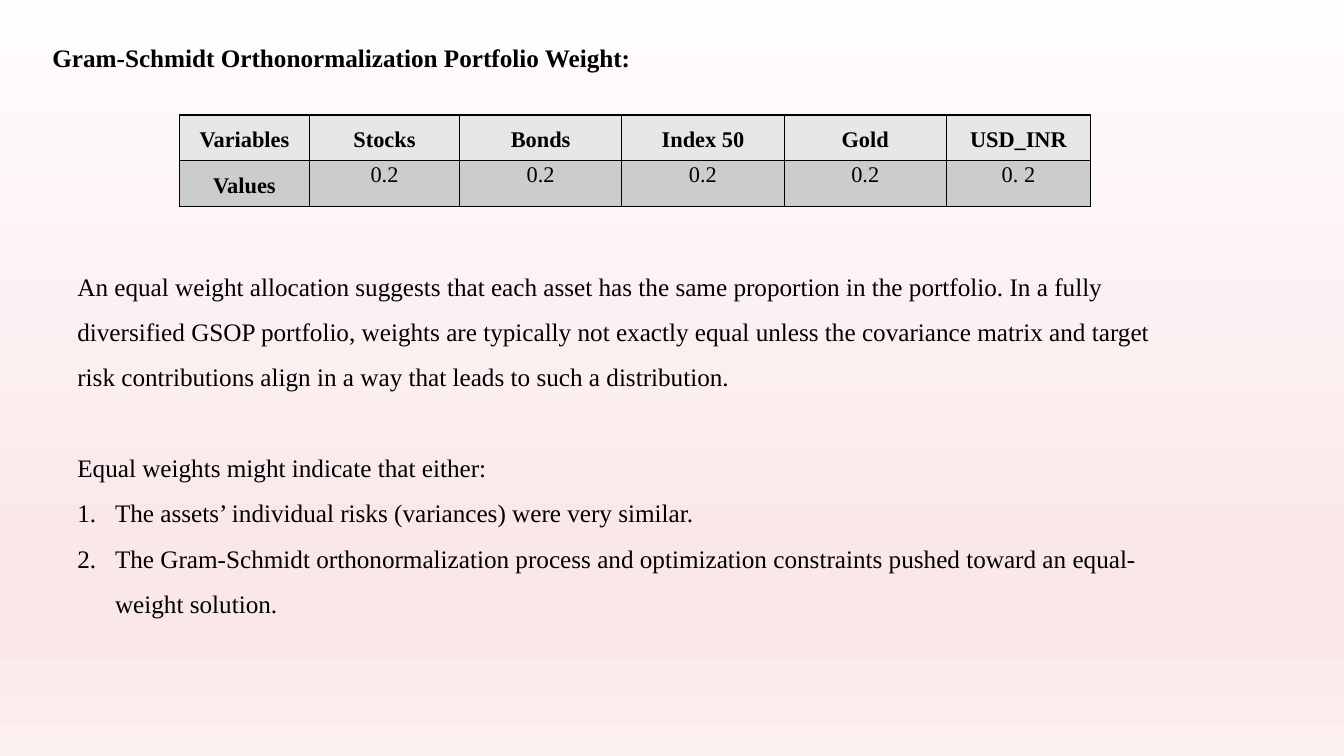
import lxml.etree
import pptx
import pptx.dml.color
import pptx.enum.text
import pptx.oxml.ns
import pptx.util

Cm = pptx.util.Cm
Pt = pptx.util.Pt
RGBColor = pptx.dml.color.RGBColor
qn = pptx.oxml.ns.qn

BLACK = RGBColor(0x00, 0x00, 0x00)
HEADER_GREY = RGBColor(0xE7, 0xE7, 0xE7)
VALUE_GREY = RGBColor(0xCC, 0xCC, 0xCC)
BACKGROUND_STOPS = [
    (0, RGBColor(0xFE, 0xFC, 0xFD)),
    (74, RGBColor(0xFA, 0xE8, 0xE9)),
    (83, RGBColor(0xFA, 0xE8, 0xE9)),
    (100, RGBColor(0xFC, 0xF0, 0xF0)),
]
FONT = "Times New Roman"

TITLE = "Gram-Schmidt Orthonormalization Portfolio\u00a0Weight:".replace("\u00a0", " ")
WEIGHTS = [
    ["Variables", "Stocks", "Bonds", "Index 50", "Gold", "USD_INR"],
    ["Values", "0.2", "0.2", "0.2", "0.2", "0. 2"],
]
COLUMN_WIDTHS = [3.28, 3.78, 4.09, 4.09, 4.09, 3.63]
ROW_HEIGHT = 1.15
EXPLANATION = (
    "An equal weight allocation suggests that each asset has the same proportion "
    "in the portfolio. In a fully diversified GSOP portfolio, weights are typically "
    "not exactly equal unless the covariance matrix and target risk contributions "
    "align in a way that leads to such a distribution."
)
REASONS_LEAD = "Equal weights might indicate that either:"
REASONS = [
    "The assets’ individual risks (variances) were very similar.",
    "The Gram-Schmidt orthonormalization process and optimization constraints "
    "pushed toward an equal-weight solution.",
]


def add_element(parent, tag, **attributes):
    return lxml.etree.SubElement(parent, qn(tag), attributes)


def write(para, text, size=18, bold=False, spacing=1.5, after=0):
    para.text = text
    para.line_spacing = spacing
    para.space_after = Pt(after)
    para.font.name = FONT
    para.font.size = Pt(size)
    para.font.bold = bold
    para.font.color.rgb = BLACK


def number(para):
    properties = para._p.get_or_add_pPr()
    properties.set("marL", str(Cm(0.95)))
    properties.set("indent", str(-Cm(0.95)))
    add_element(properties, "a:buFont", typeface="+mj-lt")
    add_element(properties, "a:buAutoNum", type="arabicPeriod")
    defaults = properties.find(qn("a:defRPr"))
    properties.append(defaults)


def paint_background(page):
    fill = page.background.fill
    fill.gradient()
    fill.gradient_angle = 270
    stops = page.element.xpath(".//p:bg//a:gsLst")[0]
    for stop in list(stops):
        stops.remove(stop)
    for percent, color in BACKGROUND_STOPS:
        stop = add_element(stops, "a:gs", pos=str(percent * 1000))
        add_element(stop, "a:srgbClr", val=str(color))


def add_text_frame(page, left, top, width, height):
    box = page.shapes.add_textbox(Cm(left), Cm(top), Cm(width), Cm(height))
    box.text_frame.word_wrap = True
    return box.text_frame


def add_title(page, left, top, width, height):
    frame = add_text_frame(page, left, top, width, height)
    write(frame.paragraphs[0], TITLE, bold=True, after=8)


def outline_cell(cell):
    properties = cell._tc.get_or_add_tcPr()
    for side in ("a:lnL", "a:lnR", "a:lnT", "a:lnB"):
        line = add_element(properties, side, w=str(Pt(1)))
        fill = add_element(line, "a:solidFill")
        add_element(fill, "a:srgbClr", val=str(BLACK))


def add_weight_table(page, left, top):
    table = page.shapes.add_table(
        len(WEIGHTS), len(COLUMN_WIDTHS), Cm(left), Cm(top),
        Cm(sum(COLUMN_WIDTHS)), Cm(ROW_HEIGHT * len(WEIGHTS)),
    ).table
    for column, width in zip(table.columns, COLUMN_WIDTHS):
        column.width = Cm(width)
    for row_index, texts in enumerate(WEIGHTS):
        table.rows[row_index].height = Cm(ROW_HEIGHT)
        for column_index, text in enumerate(texts):
            cell = table.cell(row_index, column_index)
            is_label = row_index == 0 or column_index == 0
            cell.margin_left = cell.margin_right = Cm(0.18)
            cell.margin_top = cell.margin_bottom = 0
            outline_cell(cell)
            cell.fill.solid()
            cell.fill.fore_color.rgb = VALUE_GREY if row_index else HEADER_GREY
            para = cell.text_frame.paragraphs[0]
            write(para, text, 16, is_label, 1.5 if is_label else 1.07, 8)
            para.alignment = pptx.enum.text.PP_ALIGN.CENTER


def add_discussion(page, left, top, width, height):
    frame = add_text_frame(page, left, top, width, height)
    write(frame.paragraphs[0], EXPLANATION)
    lead = frame.add_paragraph()
    write(lead, REASONS_LEAD)
    lead.space_before = Pt(32.4)
    for reason in REASONS:
        para = frame.add_paragraph()
        write(para, reason)
        number(para)


def main():
    deck = pptx.Presentation()
    deck.slide_width = Cm(33.87)
    deck.slide_height = Cm(19.05)
    page = deck.slides.add_slide(deck.slide_layouts[6])
    paint_background(page)
    add_title(page, 1.07, 0.56, 16.38, 2.46)
    add_weight_table(page, 4.52, 2.9)
    add_discussion(page, 1.7, 6.32, 27.97, 9.35)
    deck.save("out.pptx")


if __name__ == "__main__":
    main()
